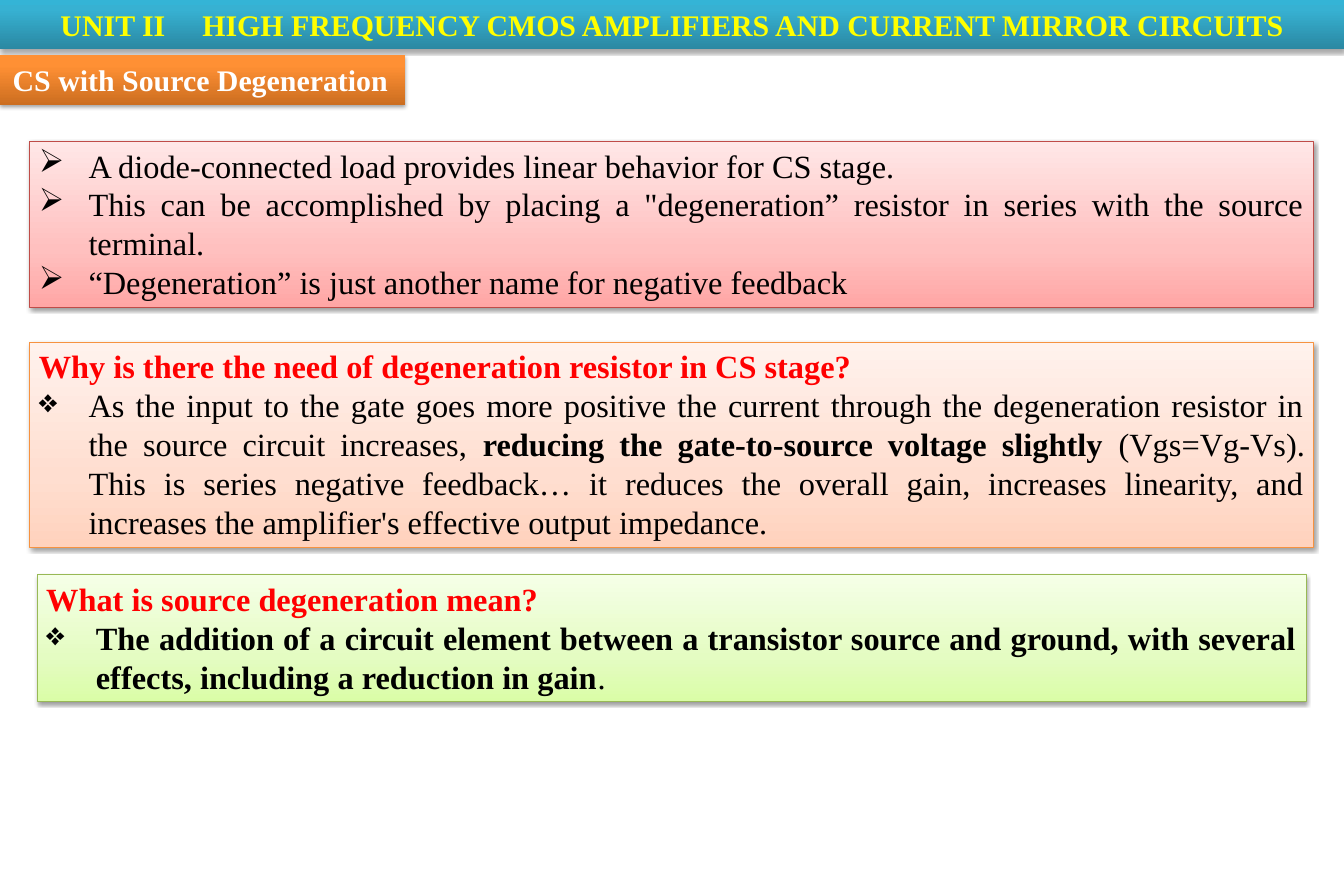
from dataclasses import dataclass

from lxml.etree import SubElement
from pptx import Presentation
from pptx.dml.color import RGBColor
from pptx.enum.shapes import MSO_SHAPE
from pptx.enum.text import MSO_ANCHOR, MSO_AUTO_SIZE, PP_ALIGN
from pptx.oxml.ns import qn
from pptx.util import Cm, Pt

SLIDE_WIDTH, SLIDE_HEIGHT = 38.1, 25.4
INDENT = 1.41
ARROW, DIAMONDS = "➢", "❖"


@dataclass(frozen=True)
class Look:
    stops: tuple  # (position in percent, colour), from bottom to top
    shadow: tuple  # opacity in percent, distance in points
    line: str = ""


@dataclass(frozen=True)
class Theme:
    font: str = "Times New Roman"
    band_size: int = 24
    body_size: int = 26
    unit_text: str = "FFFF00"
    topic_text: str = "FFFFFF"
    question: str = "FF0000"
    body: str = "000000"
    unit: Look = Look(((0, "2A88A2"), (80, "37B1D2"), (100, "34B4D6")), (35, 1.8))
    topic: Look = Look(((0, "CC6E20"), (80, "FF9034"), (100, "FF9136")), (35, 1.8))
    red: Look = Look(((0, "FFA6A5"), (35, "FFC0BF"), (100, "FFE7E7")), (38, 1.6), "BF4C48")
    orange: Look = Look(((0, "FFD2BD"), (35, "FFDED0"), (100, "FFF2ED")), (38, 1.6), "F69240")
    green: Look = Look(((0, "DAFDA7"), (35, "E4FCC2"), (100, "F5FFE7")), (38, 1.6), "98B955")


THEME = Theme()


def add_colour(parent, colour):
    return SubElement(parent, qn("a:srgbClr"), val=colour)


def add_panel(slide, left, top, width, height, look):
    """Add a rectangle with a vertical gradient and a soft shadow below."""
    panel = slide.shapes.add_shape(
        MSO_SHAPE.RECTANGLE, Cm(left), Cm(top), Cm(width), Cm(height))

    # Gradient
    panel.fill.gradient()
    panel.fill.gradient_angle = 90
    stop_list = panel._element.spPr.find(".//" + qn("a:gsLst"))
    stop_list.clear()
    for position, colour in look.stops:
        add_colour(SubElement(stop_list, qn("a:gs"), pos=str(position * 1000)), colour)

    # Outline
    if look.line:
        panel.line.color.rgb = RGBColor.from_string(look.line)
        panel.line.width = Pt(0.75)
    else:
        panel.line.fill.background()

    # Shadow
    panel.shadow.inherit = False
    opacity, distance = look.shadow
    shadow = SubElement(
        panel._element.spPr.find(qn("a:effectLst")), qn("a:outerShdw"),
        blurRad=str(Pt(3.1)), dist=str(Pt(distance)), dir="5400000", rotWithShape="0")
    SubElement(add_colour(shadow, "000000"), qn("a:alpha"), val=str(opacity * 1000))

    frame = panel.text_frame
    frame.word_wrap = True
    frame.auto_size = MSO_AUTO_SIZE.SHAPE_TO_FIT_TEXT
    frame.vertical_anchor = MSO_ANCHOR.TOP
    return frame


def hang(paragraph, bullet=""):
    properties = paragraph._p.get_or_add_pPr()
    properties.set("marL", str(Cm(INDENT)))
    properties.set("indent", str(-Cm(INDENT)))
    if bullet:
        SubElement(properties, qn("a:buChar"), char=bullet)


def set_font(paragraph, size, colour, bold=None):
    paragraph.font.name = THEME.font
    paragraph.font.size = Pt(size)
    paragraph.font.color.rgb = RGBColor.from_string(colour)
    paragraph.font.bold = bold


def add_band(slide, top, width, look, text, colour, alignment):
    """Add a one-line heading band that starts at the left edge."""
    frame = add_panel(slide, 0, top, width, 1.4, look)
    frame.margin_left = frame.margin_right = Cm(0.36)
    frame.margin_top = frame.margin_bottom = Cm(0.18)
    heading = frame.paragraphs[0]
    heading.text = text
    heading.alignment = alignment
    if alignment == PP_ALIGN.LEFT:
        frame.word_wrap = False
        hang(heading)
    set_font(heading, THEME.band_size, colour, True)


def add_notes_box(slide, top, width, height, look, bullet, points, question=""):
    """Add a centred box: an optional question, then points made of (text, bold) pieces."""
    frame = add_panel(slide, (SLIDE_WIDTH - width) / 2, top, width, height, look)
    paragraph = frame.paragraphs[0]
    if question:
        paragraph.text = question
        paragraph.alignment = PP_ALIGN.JUSTIFY
        set_font(paragraph, THEME.body_size, THEME.question, True)
    for number, pieces in enumerate(points):
        if question or number:
            paragraph = frame.add_paragraph()
        paragraph.alignment = PP_ALIGN.JUSTIFY
        hang(paragraph, bullet)
        set_font(paragraph, THEME.body_size, THEME.body)
        for text, bold in pieces:
            run = paragraph.add_run()
            run.text = text
            if bold:
                run.font.bold = True


def main():
    presentation = Presentation()
    presentation.slide_width = Cm(SLIDE_WIDTH)
    presentation.slide_height = Cm(SLIDE_HEIGHT)
    slide = presentation.slides.add_slide(presentation.slide_layouts[6])

    # Headings
    add_band(slide, 0, SLIDE_WIDTH, THEME.unit,
             "UNIT II\t HIGH FREQUENCY CMOS AMPLIFIERS AND CURRENT MIRROR CIRCUITS",
             THEME.unit_text, PP_ALIGN.CENTER)
    add_band(slide, 1.57, 11.48, THEME.topic, "CS with Source Degeneration",
             THEME.topic_text, PP_ALIGN.LEFT)

    # Introduction
    add_notes_box(slide, 4.01, 36.4, 4.7, THEME.red, ARROW, [
        [("A diode-connected load provides linear behavior for CS stage.", False)],
        [("This can be accomplished by placing a \"degeneration” resistor in series "
          "with the source terminal.", False)],
        [("“Degeneration” is just another name for negative feedback", False)],
    ])

    # Need for the resistor
    add_notes_box(slide, 9.7, 36.4, 5.82, THEME.orange, DIAMONDS, [[
        ("As the input to the gate goes more positive the current through the "
         "degeneration resistor in the source circuit increases, ", False),
        ("reducing the gate-to-source voltage slightly", True),
        (" (Vgs=Vg-Vs). This is series negative feedback… it reduces the overall gain, "
         "increases linearity, and increases the amplifier's effective output "
         "impedance.", False),
    ]], "Why is there the need of degeneration resistor in CS stage?")

    # Meaning
    add_notes_box(slide, 16.3, 35.98, 3.58, THEME.green, DIAMONDS, [[
        ("The addition of a circuit element between a transistor source and ground, "
         "with several effects, including a reduction in gain", True),
        (".", False),
    ]], "What is source degeneration mean?")

    presentation.save("out.pptx")


if __name__ == "__main__":
    main()
